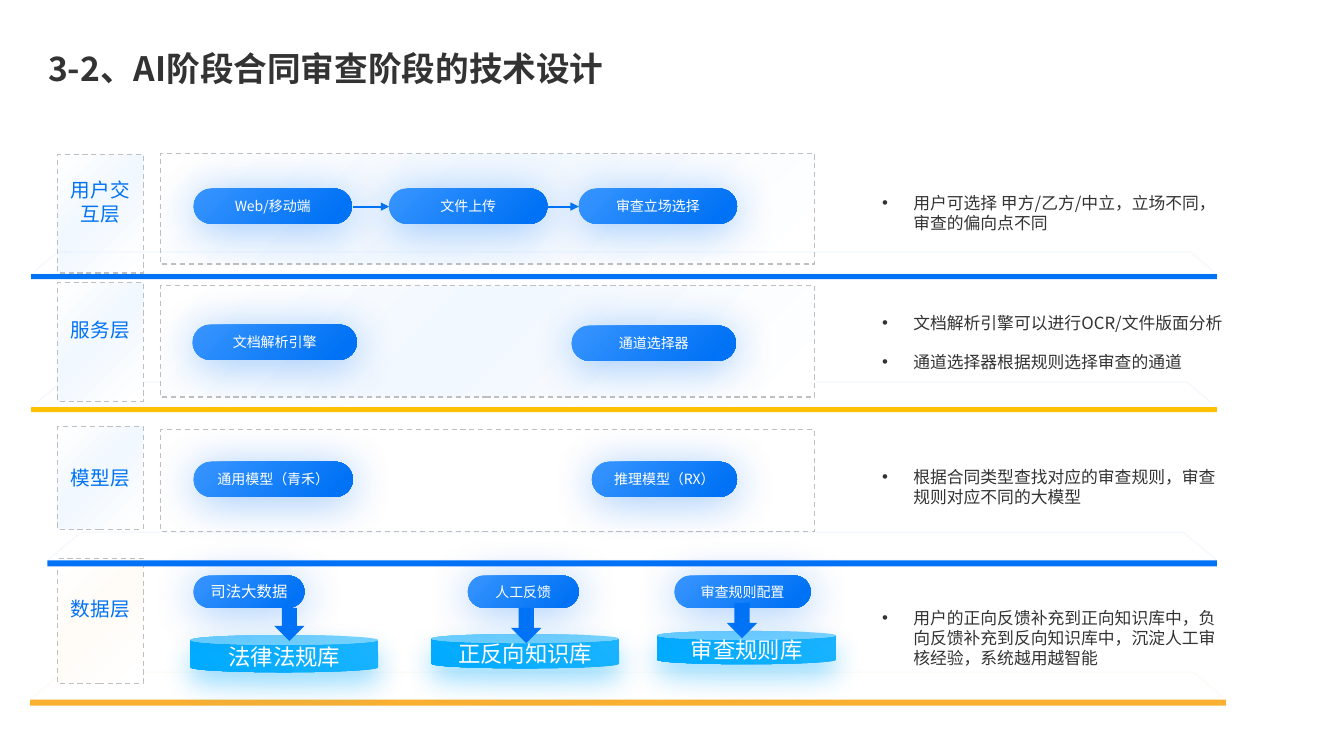
"""Build the slide on the layered technical design of AI contract review."""
import dataclasses

import lxml.etree
import pptx
import pptx.dml.color
import pptx.enum.dml
import pptx.enum.shapes
import pptx.enum.text
import pptx.oxml.ns
import pptx.util

Inches = pptx.util.Inches
Pt = pptx.util.Pt
SHAPE = pptx.enum.shapes.MSO_SHAPE
ALIGN = pptx.enum.text.PP_ALIGN
ANCHOR = pptx.enum.text.MSO_ANCHOR
qn = pptx.oxml.ns.qn


@dataclasses.dataclass(frozen=True)
class Theme:
    """Colours, gradients and type sizes of the slide."""
    font: str = "Noto Sans CJK SC"
    ink: str = "333333"
    white: str = "FFFFFF"
    blue: str = "0072F5"
    cyan: str = "00AAFF"
    yellow: str = "FFC000"
    orange: str = "FAB030"
    border: str = "BFBFBF"
    pale_blue: tuple = ((0, "FFFFFF"), (46, "F2F8FF"), (100, "FFFFFF"))
    pale_orange: tuple = ((0, "FFFFFF"), (46, "FFFCF7"), (100, "FFFFFF"))
    pill: tuple = ((11, "0072F5"), (100, "3895FF"))
    store: tuple = ((0, "00AAFF"), (100, "1AB3FF"))
    title_size: float = 24
    store_size: float = 16
    label_size: float = 14
    note_size: float = 12
    source_size: float = 11
    pill_size: float = 10


THEME = Theme()
TOP_LEFT, TOP_RIGHT, BOTTOM_RIGHT = (0, 0, 100, 100), (0, 100, 100, 0), (100, 100, 0, 0)


def rgb(colour):
    """Return a colour object for a hex string."""
    return pptx.dml.color.RGBColor.from_string(colour)


def sub(parent, tag, **attributes):
    """Append a DrawingML element with the given attributes."""
    element = lxml.etree.SubElement(parent, qn(tag))
    for name, value in attributes.items():
        element.set(name, str(value))
    return element


def add_colour(parent, colour, alpha=100):
    """Append a colour with an opacity in percent."""
    sub(sub(parent, "a:srgbClr", val=colour), "a:alpha", val=alpha * 1000)


def set_gradient(shape, stops, focus):
    """Fill a shape with a radial gradient around a corner."""
    shape.fill.gradient()
    gradient = shape._element.spPr.find(qn("a:gradFill"))
    for child in list(gradient):
        gradient.remove(child)
    stop_list = sub(gradient, "a:gsLst")
    for position, colour in stops:
        add_colour(sub(stop_list, "a:gs", pos=position * 1000), colour)
    edges = {edge: value * 1000 for edge, value in zip("ltrb", focus)}
    sub(sub(gradient, "a:path", path="circle"), "a:fillToRect", **edges)


def set_shadow(shape, colour, blur, distance):
    """Give a shape a soft shadow straight below it."""
    effects = shape._element.spPr.find(qn("a:effectLst"))
    shadow = sub(effects, "a:outerShdw", blurRad=Pt(blur), dist=Pt(distance),
                 dir=5400000, algn="t", rotWithShape=0)
    add_colour(shadow, colour, 40)


def add_shape(slide, kind, place, colour=None):
    """Add a plain shape without line or shadow."""
    shape = slide.shapes.add_shape(kind, *map(Inches, place))
    shape.shadow.inherit = False
    shape.line.fill.background()
    if colour:
        shape.fill.solid()
        shape.fill.fore_color.rgb = rgb(colour)
    else:
        shape.fill.background()
    return shape


def write(shape, text, size, colour, align=ALIGN.CENTER, bold=False):
    """Write one run into a shape and return its paragraph."""
    frame = shape.text_frame
    frame.word_wrap = True
    frame.vertical_anchor = ANCHOR.MIDDLE
    paragraph = frame.paragraphs[0]
    paragraph.alignment = align
    run = paragraph.add_run()
    run.text = text
    run.font.size = Pt(size)
    run.font.bold = bold
    run.font.name = THEME.font
    run.font.color.rgb = rgb(colour)
    sub(run._r.get_or_add_rPr(), "a:ea", typeface=THEME.font)
    return paragraph


def add_title(slide, text):
    """Add the slide title."""
    box = slide.shapes.add_textbox(*map(Inches, (0.38, 0.4, 12.04, 0.6)))
    write(box, text, THEME.title_size, THEME.ink, ALIGN.LEFT, True).line_spacing = 0.9


def add_platform(slide, left, top, width, depth, thickness, colour, edge):
    """Add a layer's floor: a faint trapezoid above a solid bar."""
    surface = add_shape(slide, SHAPE.TRAPEZOID, (left, top, width, depth))
    surface.adjustments[0] = 1.194
    surface.line.width = Pt(1)
    surface.line.color.rgb = rgb(edge)
    sub(surface.line.color._color._xClr, "a:alpha", val=4000)
    set_shadow(surface, THEME.blue, 32.4, 9.7)
    add_shape(slide, SHAPE.RECTANGLE, (left, top + depth, width, thickness), colour)


def add_panel(slide, place, stops=None):
    """Add a dashed panel with an optional pale gradient."""
    panel = add_shape(slide, SHAPE.RECTANGLE, place)
    if stops:
        set_gradient(panel, stops, TOP_LEFT)
    panel.line.color.rgb = rgb(THEME.border)
    panel.line.width = Pt(0.9)
    panel.line.dash_style = pptx.enum.dml.MSO_LINE.DASH
    return panel


def add_label(slide, text, top, height, stops, lift):
    """Add the name of a layer, raised by a bottom inset."""
    label = add_panel(slide, (0.57, top, 0.85, height), stops)
    label.text_frame.margin_bottom = Inches(0.05 + lift)
    write(label, text, THEME.label_size, THEME.blue)


def add_pill(slide, text, left, top, width, height=0.35, size=THEME.pill_size):
    """Add a rounded blue step."""
    pill = add_shape(slide, SHAPE.ROUNDED_RECTANGLE, (left, top, width, height))
    pill.adjustments[0] = 0.5
    set_gradient(pill, THEME.pill, BOTTOM_RIGHT)
    set_shadow(pill, THEME.blue, 32.4, 4)
    write(pill, text, size, THEME.white)


def add_store(slide, text, left, top, width, height):
    """Add a cylinder for a knowledge store."""
    store = add_shape(slide, SHAPE.CAN, (left, top, width, height))
    store.adjustments[0] = 0.266
    set_gradient(store, THEME.store, TOP_RIGHT)
    set_shadow(store, THEME.cyan, 20, 9.7)
    write(store, text, THEME.store_size, THEME.white)


def add_arrow(slide, start, end, height):
    """Add a horizontal arrow between two steps."""
    arrow = slide.shapes.add_connector(
        pptx.enum.shapes.MSO_CONNECTOR.STRAIGHT,
        Inches(start), Inches(height), Inches(end), Inches(height))
    arrow.line.color.rgb = rgb(THEME.blue)
    arrow.line.width = Pt(1.5)
    sub(arrow.line._get_or_add_ln(), "a:tailEnd", type="triangle")
    sub(arrow._element.spPr, "a:effectLst")


def add_note(slide, text, top, height, width=3.51):
    """Add a bulleted remark beside a layer."""
    note = slide.shapes.add_textbox(*map(Inches, (8.65, top, width, height)))
    properties = write(note, text, THEME.note_size, THEME.ink, ALIGN.LEFT)._p.get_or_add_pPr()
    properties.set("marL", str(Inches(0.31)))
    properties.set("indent", str(Inches(-0.31)))
    sub(properties, "a:buFont", typeface="Arial")
    sub(properties, "a:buChar", char="•")


def main():
    """Lay out the four layers and save the deck."""
    deck = pptx.Presentation()
    deck.slide_width, deck.slide_height = Inches(13.33), Inches(7.5)
    slide = deck.slides.add_slide(deck.slide_layouts[6])
    add_title(slide, "3-2、AI阶段合同审查阶段的技术设计")

    add_platform(slide, 0.31, 3.79, 11.76, 0.25, 0.05, THEME.yellow, THEME.blue)
    add_platform(slide, 0.3, 6.67, 11.86, 0.27, 0.06, THEME.orange, THEME.orange)
    for top, height, stops in ((1.52, 1.1, THEME.pale_blue), (2.83, 1.11, THEME.pale_blue),
                               (4.26, 1.01, None)):
        add_panel(slide, (1.59, top, 6.49, height), stops)
    for text, top, height, stops, lift in (
            ("用户交互层", 1.53, 1.18, THEME.pale_blue, 0.24),
            ("服务层", 2.8, 1.18, THEME.pale_blue, 0.24),
            ("模型层", 4.23, 1.02, THEME.pale_blue, 0),
            ("数据层", 5.54, 1.24, THEME.pale_orange, 0.24)):
        add_label(slide, text, top, height, stops, lift)
    add_platform(slide, 0.47, 5.28, 11.6, 0.28, 0.06, THEME.blue, THEME.blue)
    add_platform(slide, 0.31, 2.5, 11.76, 0.22, 0.05, THEME.blue, THEME.blue)

    for text, left, top, width in (
            ("Web/移动端", 1.92, 1.87, 1.57), ("文件上传", 3.86, 1.87, 1.57),
            ("审查立场选择", 5.74, 1.87, 1.57),
            ("文档解析引擎", 1.91, 3.22, 1.63), ("通道选择器", 5.67, 3.23, 1.63),
            ("通用模型（青禾）", 1.92, 4.58, 1.58), ("推理模型（RX）", 5.87, 4.58, 1.44)):
        add_pill(slide, text, left, top, width)
    for start, end in ((3.5, 3.86), (5.43, 5.74)):
        add_arrow(slide, start, end, 2.05)

    for store, source, down in (
            (("法律法规库", 1.89, 6.3, 1.86, 0.37),
             ("司法大数据", 1.92, 5.71, 1.1, 0.32, THEME.source_size), (2.72, 6.03, 0.3, 0.33)),
            (("正反向知识库", 4.28, 6.29, 1.86, 0.34),
             ("人工反馈", 4.64, 5.71, 1.1, 0.32), (5.07, 6.03, 0.3, 0.35)),
            (("审查规则库", 6.52, 6.26, 1.77, 0.33),
             ("审查规则配置", 6.69, 5.71, 1.35, 0.32), (7.21, 5.98, 0.3, 0.35))):
        add_store(slide, *store)
        add_pill(slide, *source)
        add_shape(slide, SHAPE.DOWN_ARROW, down, THEME.blue)

    add_note(slide, "用户可选择 甲方/乙方/中立，立场不同，审查的偏向点不同", 1.86, 0.5)
    add_note(slide, "文档解析引擎可以进行OCR/文件版面分析", 3.05, 0.3, 3.68)
    add_note(slide, "通道选择器根据规则选择审查的通道", 3.44, 0.3)
    add_note(slide, "根据合同类型查找对应的审查规则，审查规则对应不同的大模型", 4.58, 0.5)
    add_note(slide, "用户的正向反馈补充到正向知识库中，负向反馈补充到反向知识库中，"
             "沉淀人工审核经验，系统越用越智能", 5.97, 0.71)
    deck.save("out.pptx")


if __name__ == "__main__":
    main()
